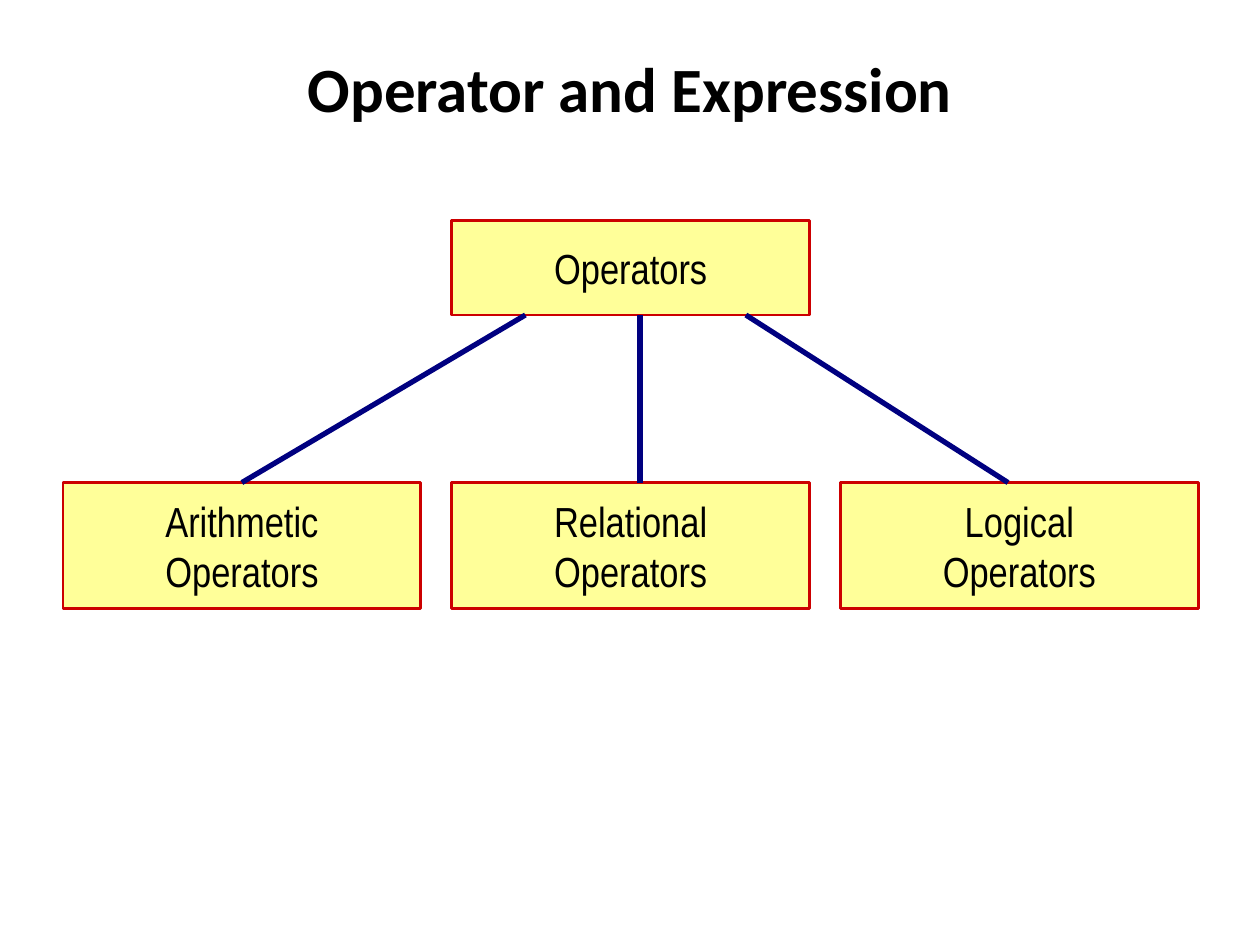
from dataclasses import dataclass

from lxml import etree
from pptx import Presentation
from pptx.dml.color import RGBColor
from pptx.enum.shapes import MSO_CONNECTOR, MSO_SHAPE
from pptx.enum.text import MSO_ANCHOR, PP_ALIGN
from pptx.oxml.ns import qn
from pptx.util import Inches, Pt

RECT = MSO_SHAPE.RECTANGLE
STRAIGHT = MSO_CONNECTOR.STRAIGHT
MIDDLE = MSO_ANCHOR.MIDDLE
CENTER = PP_ALIGN.CENTER

WIDTH, HEIGHT = 10, 7.5
LEFT, PITCH, BOX_W = 0.5, 3.085, 2.84
ROOT_TOP, ROOT_H = 1.75, 0.75
LEAF_TOP, LEAF_H = 3.83, 1


@dataclass
class Box:
    text: str
    col: int
    top: float
    height: float


@dataclass
class Link:
    """A line from the root's lower edge to a leaf's upper edge."""
    root_x: float
    leaf_x: float


BOXES = [Box("Operators", 1, ROOT_TOP, ROOT_H)] + [
    Box(f"{kind}\nOperators", col, LEAF_TOP, LEAF_H)
    for col, kind in enumerate(["Arithmetic", "Relational", "Logical"])
]
LINKS = [Link(5.08, 5.08), Link(4.17, 1.92), Link(5.92, 8)]


def color(code: str) -> RGBColor:
    return RGBColor.from_string(code)


def write(shape, text: str, *, font: str, size: float,
          bold: bool = False, wrap: bool = True) -> None:
    frame = shape.text_frame
    frame.word_wrap = wrap
    frame.vertical_anchor = MIDDLE
    frame.text = text
    for para in frame.paragraphs:
        para.alignment = CENTER
        para.font.name = font
        para.font.size = Pt(size)
        para.font.bold = bold
        para.font.color.rgb = color("000000")


def stroke(line, code: str, width: float) -> None:
    line.color.rgb = color(code)
    line.width = Pt(width)


def draw_box(slide, box: Box) -> None:
    shape = slide.shapes.add_shape(
        RECT, Inches(LEFT + box.col * PITCH), Inches(box.top),
        Inches(BOX_W), Inches(box.height))
    shape.shadow.inherit = False
    shape.fill.solid()
    shape.fill.fore_color.rgb = color("FFFF99")
    stroke(shape.line, "CC0000", 1.5)
    write(shape, box.text, font="Arial Narrow", size=24, wrap=False)


def draw_link(slide, link: Link) -> None:
    line = slide.shapes.add_connector(
        STRAIGHT, Inches(link.leaf_x), Inches(LEAF_TOP),
        Inches(link.root_x), Inches(ROOT_TOP + ROOT_H))
    stroke(line.line, "000080", 3)
    etree.SubElement(line._element.spPr, qn("a:effectLst"))


def main() -> None:
    deck = Presentation()
    deck.slide_width, deck.slide_height = Inches(WIDTH), Inches(HEIGHT)
    slide = deck.slides.add_slide(deck.slide_layouts[6])
    title = slide.shapes.add_textbox(
        Inches(LEFT), Inches(0.3), Inches(WIDTH - 2 * LEFT), Inches(0.78))
    write(title, "Operator and Expression", font="Calibri", size=36, bold=True)
    for box in BOXES:
        draw_box(slide, box)
    for link in LINKS:
        draw_link(slide, link)
    deck.save("out.pptx")


if __name__ == "__main__":
    main()
